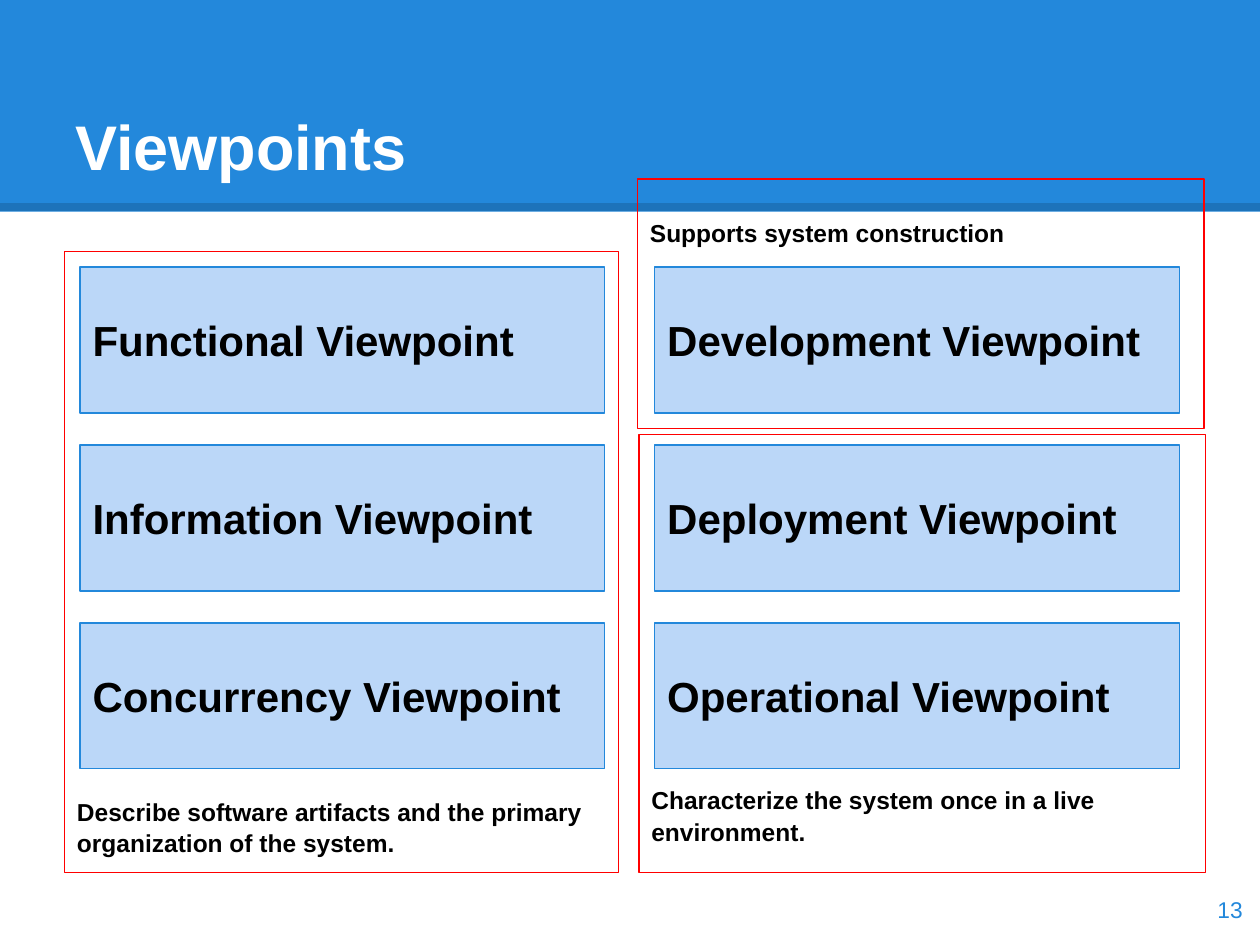
import pptx
import pptx.dml.color
import pptx.enum.shapes
import pptx.enum.text
import pptx.oxml.ns
import pptx.util
from lxml import etree

Pt = pptx.util.Pt
RGB = pptx.dml.color.RGBColor.from_string
RECTANGLE = pptx.enum.shapes.MSO_SHAPE.RECTANGLE
ANCHOR = pptx.enum.text.MSO_ANCHOR
ALIGN = pptx.enum.text.PP_ALIGN

COLORS = {
    "blue": "2388DB",
    "pale": "BBD7F8",
    "red": "FF0000",
    "black": "000000",
    "white": "FFFFFF",
}

deck = pptx.Presentation()
deck.slide_width, deck.slide_height = Pt(720), Pt(540)
page = deck.slides.add_slide(deck.slide_layouts[6])


def add_rectangle(left, top, width, height, fill=None, line=None):
    box = page.shapes.add_shape(RECTANGLE, Pt(left), Pt(top), Pt(width), Pt(height))
    box.shadow.inherit = False
    if fill:
        box.fill.solid()
        box.fill.fore_color.rgb = RGB(COLORS[fill])
    else:
        box.fill.background()
    if line:
        box.line.color.rgb = RGB(COLORS[line])
        box.line.width = Pt(0.75)
    else:
        box.line.fill.background()
    return box


def write(box, text, size, color="black", bold=True, anchor=ANCHOR.MIDDLE, align=ALIGN.LEFT):
    frame = box.text_frame
    frame.word_wrap = True
    frame.vertical_anchor = anchor
    frame.margin_left = frame.margin_right = Pt(7.2)
    frame.margin_top = frame.margin_bottom = Pt(7.2)
    para = frame.paragraphs[0]
    para.alignment = align
    span = para.add_run()
    span.text = text
    span.font.name = "Arial"
    span.font.size = Pt(size)
    span.font.bold = bold
    span.font.color.rgb = RGB(COLORS[color])


# Header band with a translucent rule along its lower edge
add_rectangle(0, 0, 720, 121, fill="blue")
rule = page.shapes.add_connector(
    pptx.enum.shapes.MSO_CONNECTOR.STRAIGHT, Pt(0), Pt(118.4), Pt(720), Pt(118.4))
rule.line.width = Pt(4.5)
rule.line.color.rgb = RGB(COLORS["black"])
qn = pptx.oxml.ns.qn
rule_color = rule._element.spPr.find(".//" + qn("a:srgbClr"))
etree.SubElement(rule_color, qn("a:alpha")).set("val", "15000")
etree.SubElement(rule._element.spPr, qn("a:effectLst"))

title = page.shapes.add_textbox(Pt(36), Pt(21.6), Pt(648), Pt(90))
write(title, "Viewpoints", 36, "white", anchor=ANCHOR.BOTTOM)

number = page.shapes.add_textbox(Pt(674), Pt(499), Pt(43.2), Pt(41))
write(number, "13", 13, "blue", bold=False, align=ALIGN.RIGHT)

# Two columns of viewpoints
columns = [
    (45.8, ["Functional", "Information", "Concurrency"]),
    (374.2, ["Development", "Deployment", "Operational"]),
]
for left, names in columns:
    for row, name in enumerate(names):
        box = add_rectangle(left, 152.6 + 101.7 * row, 299.8, 83.4, "pale", "blue")
        write(box, f"{name} Viewpoint", 24)

# Red frames: left, top, width, height, caption, anchor, caption margin
groups = [
    (36.9, 143.6, 316.5, 355, "Describe software artifacts and the primary organization of the system.",
     ANCHOR.BOTTOM, 8.4),
    (364.3, 102.4, 323.8, 142.4, "Supports system construction", ANCHOR.TOP, 21),
    (365.1, 248.2, 323.8, 250.4, "Characterize the system once in a live environment.",
     ANCHOR.BOTTOM, 15.2),
]
for left, top, width, height, caption, anchor, margin in groups:
    frame_box = add_rectangle(left, top, width, height, line="red")
    write(frame_box, caption, 14, anchor=anchor)
    frame_box.text_frame.margin_top = frame_box.text_frame.margin_bottom = Pt(margin)
    frame_box.text_frame.paragraphs[0].line_spacing = 1.07

deck.save("out.pptx")
